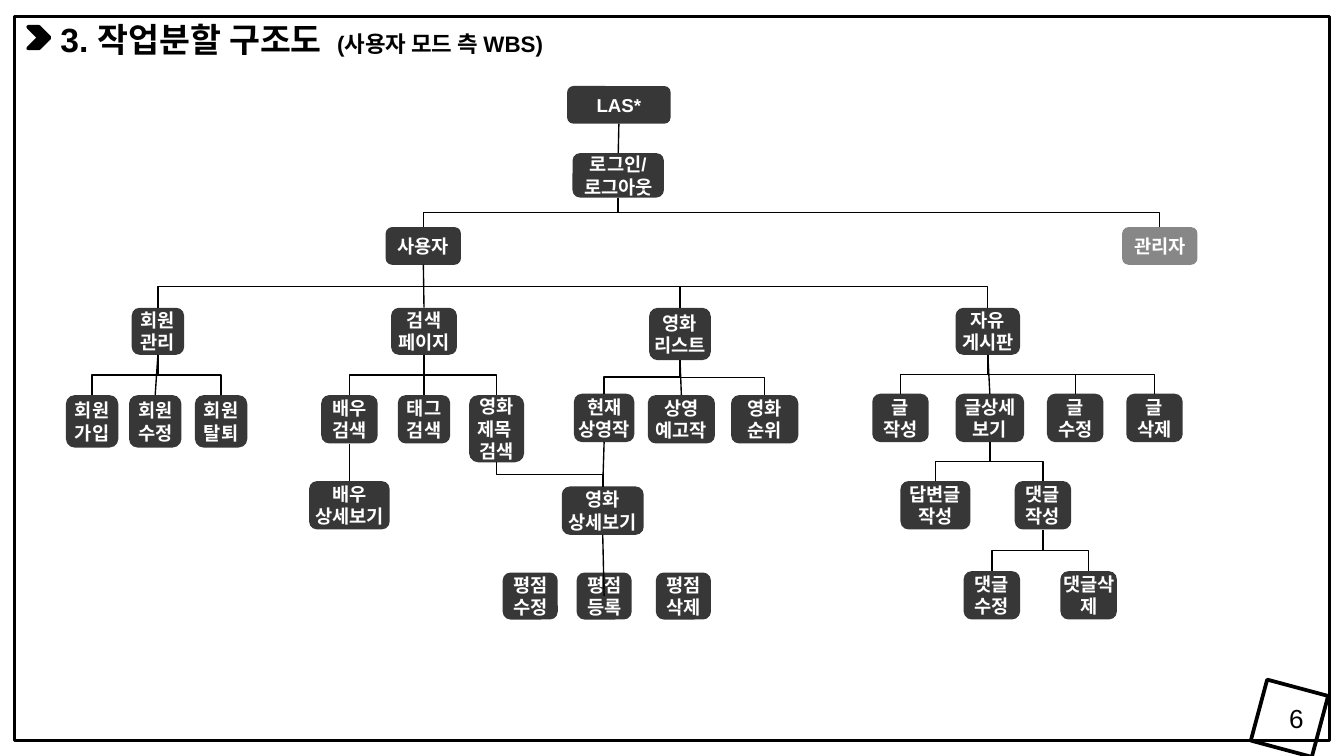
from lxml import etree
from pptx import Presentation
from pptx.dml.color import RGBColor
from pptx.enum.shapes import MSO_CONNECTOR, MSO_SHAPE
from pptx.enum.text import MSO_ANCHOR, PP_ALIGN
from pptx.oxml.ns import qn
from pptx.util import Inches, Pt

STRAIGHT, ELBOW = MSO_CONNECTOR.STRAIGHT, MSO_CONNECTOR.ELBOW
RECT, ROUND, CHEVRON = MSO_SHAPE.RECTANGLE, MSO_SHAPE.ROUNDED_RECTANGLE, MSO_SHAPE.CHEVRON
LEFT, CENTER = PP_ALIGN.LEFT, PP_ALIGN.CENTER
TOP, MIDDLE = MSO_ANCHOR.TOP, MSO_ANCHOR.MIDDLE
SITE_TOP, SITE_BOTTOM = 0, 2

COLORS = {"ink": "000000", "box": "373737", "white": "FFFFFF"}
FONT = "Arial"

# Content: rows of boxes as (top, height, [(label, left, width)]);
# each word of a label takes its own line
ROWS = [
    (0.64, 0.28, [("LAS*", 4.22, 0.77)]),
    (1.14, 0.33, [("로그인/ 로그아웃", 4.26, 0.68)]),
    (1.69, 0.28, [("사용자", 2.87, 0.56), ("관리자", 8.35, 0.56)]),
    (2.29, 0.35, [("회원 관리", 0.98, 0.39), ("검색 페이지", 2.91, 0.49),
                  ("자유 게시판", 7.11, 0.48)]),
    (2.29, 0.39, [("영화 리스트", 4.83, 0.46)]),
    (2.94, 0.39, [("회원 가입", 0.49, 0.39), ("회원 수정", 0.96, 0.39),
                  ("회원 탈퇴", 1.45, 0.39)]),
    (2.94, 0.36, [("배우 검색", 2.39, 0.42), ("태그 검색", 2.96, 0.39),
                  ("상영 예고작", 4.82, 0.5), ("영화 순위", 5.44, 0.5)]),
    (2.94, 0.5, [("영화 제목 검색", 3.49, 0.41)]),
    (2.93, 0.36, [("현재 상영작", 4.27, 0.45), ("글 작성", 6.49, 0.42),
                  ("글상세 보기", 7.11, 0.51), ("글 수정", 7.79, 0.42),
                  ("글 삭제", 8.38, 0.42)]),
    (3.58, 0.36, [("배우 상세보기", 2.3, 0.6), ("답변글 작성", 6.7, 0.52),
                  ("댓글 작성", 7.55, 0.42)]),
    (3.62, 0.36, [("영화 상세보기", 4.18, 0.61)]),
    (4.26, 0.35, [("평점 수정", 3.74, 0.41), ("평점 등록", 4.29, 0.41),
                  ("평점 삭제", 4.88, 0.41)]),
    (4.25, 0.36, [("댓글 수정", 7.17, 0.42), ("댓글삭제", 7.89, 0.42)]),
]
CHILDREN = {
    "LAS*": ["로그인/ 로그아웃"],
    "로그인/ 로그아웃": ["사용자", "관리자"],
    "사용자": ["회원 관리", "검색 페이지", "영화 리스트", "자유 게시판"],
    "회원 관리": ["회원 가입", "회원 수정", "회원 탈퇴"],
    "검색 페이지": ["배우 검색", "태그 검색", "영화 제목 검색"],
    "영화 리스트": ["현재 상영작", "상영 예고작", "영화 순위"],
    "자유 게시판": ["글 작성", "글상세 보기", "글 수정", "글 삭제"],
    "배우 검색": ["배우 상세보기"],
    "영화 제목 검색": ["영화 상세보기"],
    "현재 상영작": ["영화 상세보기"],
    "글상세 보기": ["답변글 작성", "댓글 작성"],
    "댓글 작성": ["댓글 수정", "댓글삭제"],
}
FADED = {"관리자": 60}
OWN_LINES = {"영화 제목 검색": ["영화", "제목 ", "검색"]}


def rgb(name):
    return RGBColor.from_string(COLORS[name])


def write(sp, paragraphs, color="ink", bold=False, align=CENTER, anchor=MIDDLE, inset=None):
    """Fill a shape with paragraphs, each a list of (text, size) runs."""
    tf = sp.text_frame
    tf.word_wrap, tf.vertical_anchor = True, anchor
    if inset is not None:
        tf.margin_left = tf.margin_right = tf.margin_top = tf.margin_bottom = Inches(inset)
    for i, runs in enumerate(paragraphs):
        p = tf.paragraphs[0] if i == 0 else tf.add_paragraph()
        p.alignment = align
        for text, size in runs:
            r = p.add_run()
            r.text = text
            r.font.name, r.font.size, r.font.bold = FONT, Pt(size), bold
            r.font.color.rgb = rgb(color)
            r.font._element.set("kern", "0")


def add_shape(s, kind, box, fill=None, line=None):
    sp = s.shapes.add_shape(kind, *map(Inches, box))
    sp.shadow.inherit = False
    if fill:
        sp.fill.solid()
        sp.fill.fore_color.rgb = rgb(fill)
    else:
        sp.fill.background()
    if line:
        sp.line.color.rgb, sp.line.width = rgb("ink"), Pt(line)
    else:
        sp.line.fill.background()
    return sp


def style_line(c):
    c.line.color.rgb, c.line.width = rgb("ink"), Pt(0.75)
    etree.SubElement(c._element.spPr, qn("a:effectLst"))


def link(s, parent, child):
    """Join parent bottom to child top, with an elbow unless nearly vertical."""
    dx = (child.left + child.width // 2) - (parent.left + parent.width // 2)
    kind = STRAIGHT if abs(dx) < Inches(0.05) else ELBOW
    c = s.shapes.add_connector(kind, 0, 0, 0, 0)
    c.begin_connect(parent, SITE_BOTTOM)
    c.end_connect(child, SITE_TOP)
    if kind == ELBOW:
        # Turn the elbow so that it leaves and arrives vertically
        mid_x, mid_y = (c.begin_x + c.end_x) // 2, (c.begin_y + c.end_y) // 2
        w, h = abs(c.end_y - c.begin_y), abs(c.end_x - c.begin_x)
        c.left, c.top, c.width, c.height = mid_x - w // 2, mid_y - h // 2, w, h
        xfrm = c._element.spPr.xfrm
        xfrm.flipH, xfrm.flipV = dx > 0, False
        xfrm.set("rot", str((270 if dx > 0 else 90) * 60000))
    style_line(c)


prs = Presentation()
prs.slide_width = Inches(10)
prs.slide_height = prs.slide_width * 9 // 16
s = prs.slides.add_slide(prs.slide_layouts[5])

# Frame, title and chevron
add_shape(s, RECT, (0.11, 0.12, 9.78, 5.39), line=1.5)
title = s.shapes.title
title.left, title.top, title.width, title.height = map(Inches, (0.35, 0.09, 5.13, 0.4))
write(title, [[("3. 작업분할 구조도  ", 18), ("(사용자 모드 측 WBS)", 12)]],
      bold=True, align=LEFT, anchor=TOP)
add_shape(s, CHEVRON, (0.21, 0.2, 0.16, 0.16), fill="ink", line=2)

# Boxes
nodes = {}
for top, height, row in ROWS:
    for label, left, width in row:
        sp = add_shape(s, ROUND, (left, top, width, height), fill="box")
        lines = OWN_LINES.get(label, label.split())
        write(sp, [[(text, 10)] for text in lines], color="white", bold=True, inset=0)
        if label in FADED:
            clr = sp._element.spPr.find(qn("a:solidFill"))[0]
            etree.SubElement(clr, qn("a:alpha"), val=str(FADED[label] * 1000))
        nodes[label] = sp

# Links; the rating line runs on to the middle of its box
for parent, children in CHILDREN.items():
    for child in children:
        link(s, nodes[parent], nodes[child])
detail, rating = nodes["영화 상세보기"], nodes["평점 등록"]
c = s.shapes.add_connector(STRAIGHT, 0, 0, rating.left + rating.width // 2,
                           rating.top + rating.height // 2)
c.begin_connect(detail, SITE_BOTTOM)
style_line(c)

# Page number in a tilted square
add_shape(s, RECT, (9.36, 5.11, 0.47, 0.47), line=2).rotation = 15
number = s.shapes.add_textbox(*map(Inches, (9.49, 5.17, 0.31, 0.34)))
write(number, [[("6", 14)]])

prs.save("out.pptx")
